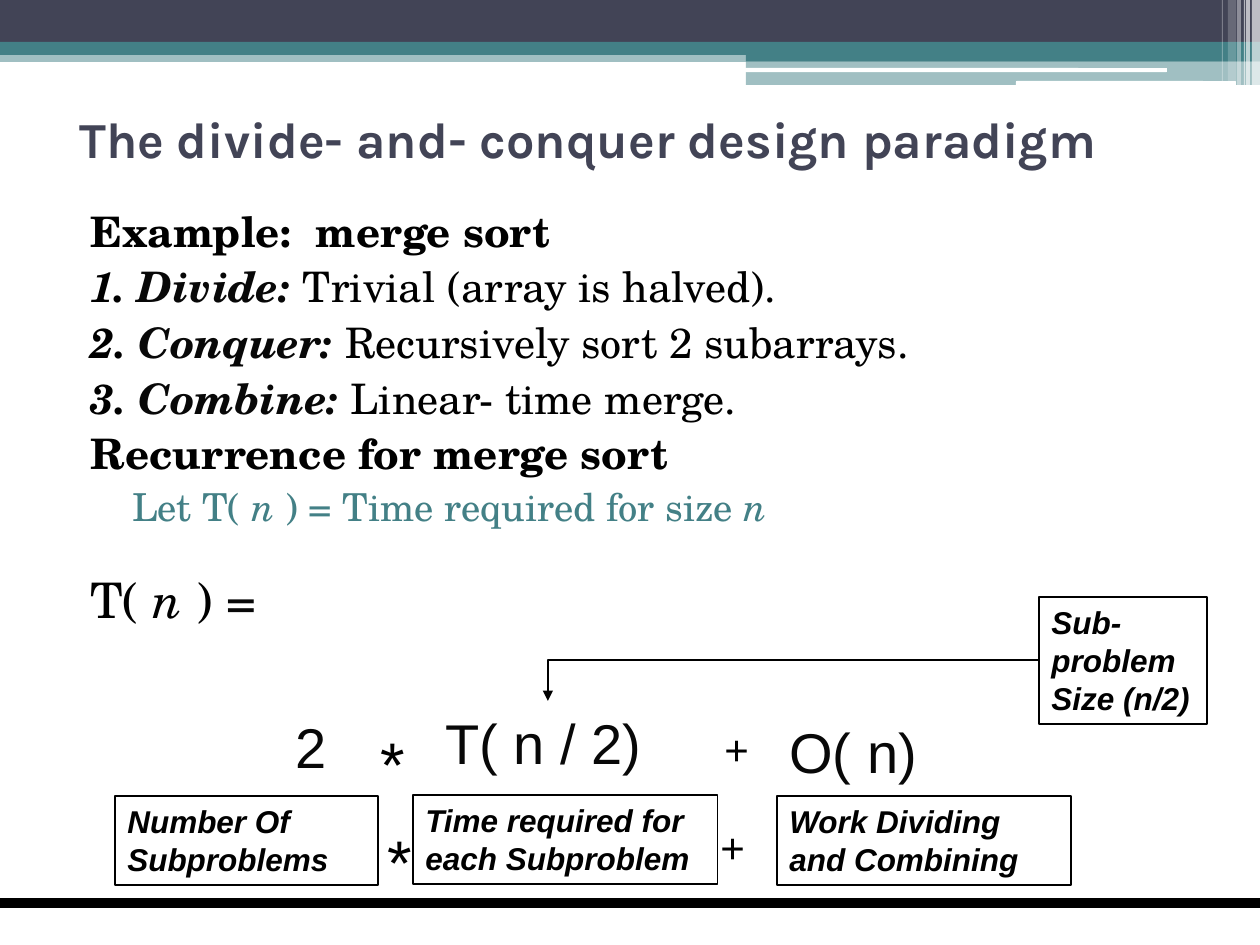
"""Builds the merge sort slide of a divide-and-conquer lesson."""
from dataclasses import dataclass

from lxml import etree
from pptx import Presentation, util as u
from pptx.dml.color import RGBColor
from pptx.enum import shapes, text
from pptx.oxml.ns import qn

PX = 914400 // 126


@dataclass(frozen=True)
class Theme:
    """Colours, fonts and type sizes."""
    navy: str = "424456"
    teal: str = "438086"
    white: str = "FFFFFF"
    black: str = "000000"
    ink: str = "080808"
    head: str = "Karla"
    serif: str = "TeX Gyre Schola"
    sans: str = "Arial"
    title: float = 28.8
    body: int = 24
    sub: int = 22
    big: int = 28
    term: int = 32
    star: int = 36
    note: int = 18


T = Theme()


def px(*vals):
    """Turn pixels into EMU."""
    return [u.Emu(v * PX) for v in vals]


def rgb(hue):
    """Make a colour from its hex digits."""
    return RGBColor.from_string(hue)


def bar(slide, box, hue, alpha=100, round=False):
    """Draw a plain filled bar."""
    kind = shapes.MSO_SHAPE.ROUNDED_RECTANGLE if round else shapes.MSO_SHAPE.RECTANGLE
    shape = slide.shapes.add_shape(kind, *px(*box))
    shape.shadow.inherit = False
    shape.fill.solid()
    shape.fill.fore_color.rgb = rgb(hue)
    shape.line.fill.background()
    if alpha < 100:
        tint = shape._element.spPr.find(".//" + qn("a:srgbClr"))
        etree.SubElement(tint, qn("a:alpha"), val=str(alpha * 1000))


def fill(frame, paras, font=T.sans, size=T.body, hue=T.black, bold=False,
         ital=False, anchor=text.MSO_ANCHOR.TOP, grow=False):
    """Write paragraphs, each a list of (words, changes) runs and a layout."""
    frame.word_wrap = True
    frame.vertical_anchor = anchor
    frame.auto_size = (text.MSO_AUTO_SIZE.SHAPE_TO_FIT_TEXT if grow
                       else text.MSO_AUTO_SIZE.NONE)
    for num, (runs, lay) in enumerate(paras):
        para = frame.add_paragraph() if num else frame.paragraphs[0]
        para.alignment = text.PP_ALIGN.LEFT
        para.space_before = u.Pt(lay.get("gap", 0))
        if "indent" in lay:
            left, hang = px(*lay["indent"])
            props = para._p.get_or_add_pPr()
            props.set("marL", str(left))
            props.set("indent", str(hang))
        for words, diff in runs:
            look = dict(size=size, hue=hue, bold=bold, ital=ital) | diff
            run = para.add_run()
            run.text = words
            run.font.name = font
            run.font.size = u.Pt(look["size"])
            run.font.bold = look["bold"]
            run.font.italic = look["ital"]
            run.font.color.rgb = rgb(look["hue"])


def label(slide, box, words, **form):
    """Add a text box with one run."""
    area = slide.shapes.add_textbox(*px(*box))
    fill(area.text_frame, [([(words, {})], {})], **form)


def note(slide, box, *lines):
    """Add a framed note in bold italics."""
    shape = slide.shapes.add_shape(shapes.MSO_SHAPE.RECTANGLE, *px(*box))
    shape.shadow.inherit = False
    shape.fill.background()
    shape.line.color.rgb = rgb(T.black)
    shape.line.width = u.Pt(0.75)
    fill(shape.text_frame, [([(line, {})], {}) for line in lines],
         size=T.note, bold=True, ital=True, grow=True)


def link(slide, ends, width, bent=False):
    """Draw a black line, or a bent arrow with one corner."""
    kind = shapes.MSO_CONNECTOR.ELBOW if bent else shapes.MSO_CONNECTOR.STRAIGHT
    line = slide.shapes.add_connector(kind, *px(*ends))
    line.line.color.rgb = rgb(T.black)
    line.line.width = u.Pt(width)
    props = line._element.spPr
    if bent:
        props.find(qn("a:prstGeom")).set("prst", "bentConnector2")
        etree.SubElement(props.find(qn("a:ln")), qn("a:tailEnd"), type="triangle")
    etree.SubElement(props, qn("a:effectLst"))


def frame(slide):
    """Draw the header bands, stripes and base line."""
    for box, hue, alpha in (
            ((0, 50, 1260, 12), T.teal, 50), ((0, 0, 1260, 42), T.navy, 100),
            ((0, 42, 1260, 13), T.teal, 100), ((746, 49, 514, 12), T.teal, 100),
            ((746, 61, 514, 24), T.teal, 50)):
        bar(slide, box, hue, alpha)
    for box in ((745, 68, 422, 4), (1016, 81, 220, 5)):
        bar(slide, box, T.white, round=True)
    for left, wide, high, alpha in (
            (1252, 8, 85, 65), (1246, 4, 85, 65), (1244, 1, 85, 60),
            (1237, 4, 85, 40), (1228, 8, 81, 20), (1222, 1, 81, 30)):
        bar(slide, (left, 0, wide, high), T.white, alpha)
    link(slide, (0, 903, 1260, 903), 6)


def body(slide):
    """Write the example and its recurrence."""
    main = dict(gap=3, indent=(50, -35))
    bold, ital = dict(bold=True), dict(ital=True)
    both = bold | ital
    steps = (("Divide: ", "Trivial (array is halved)."),
             ("Conquer: ", "Recursively sort 2 subarrays."),
             ("Combine: ", "Linear- time merge."))
    paras = [([("Example:  merge sort", bold)], main)]
    paras += [([(f"{num}. ", both), (name, both | dict(hue=T.ink)), (rest, {})], main)
              for num, (name, rest) in enumerate(steps, 1)]
    paras.append(([("Recurrence for merge sort", bold)], main))
    sub = dict(size=T.sub, hue=T.teal)
    paras.append(([("Let T( ", sub), ("n", sub | ital),
                   (" ) = Time required for size ", sub), ("n", sub | ital)],
                  dict(gap=3, indent=(91, -34))))
    big = dict(size=T.big)
    paras.append(([("T( ", big), ("n", big | ital), (" ) ", big),
                   ("=", big | dict(hue=T.ink))], main | dict(gap=23)))
    area = slide.shapes.add_textbox(*px(63, 199, 1155, 693))
    fill(area.text_frame, paras, font=T.serif)


def sums(slide):
    """Set out the recurrence and the meaning of its terms."""
    for left, top in ((375, 816), (368, 718)):
        label(slide, (left, top, 73, 88), "*", size=T.star, grow=True)
    for left, top in ((708, 815), (712, 717)):
        label(slide, (left, top, 73, 63), "+", grow=True)
    for box, words in (((283, 706, 73, 79), "2"),
                       ((433, 702, 228, 79), "T( n / 2)"),
                       ((777, 711, 158, 79), "O( n)")):
        label(slide, box, words, size=T.term, hue=T.ink, grow=True)
    note(slide, (115, 796, 263, 89), "Number Of Subproblems")
    note(slide, (413, 795, 305, 89), "Time required for each Subproblem")
    note(slide, (777, 796, 294, 89), "Work Dividing and Combining")
    note(slide, (1039, 597, 168, 127), "Sub-problem", "Size (n/2)")
    link(slide, (1039, 660, 548, 701), 0.75, bent=True)


def main():
    """Build and save the slide."""
    deck = Presentation()
    deck.slide_width, deck.slide_height = u.Inches(10), u.Inches(7.5)
    slide = deck.slides.add_slide(deck.slide_layouts[6])
    frame(slide)
    label(slide, (67, 84, 1109, 108), "The divide- and- conquer design paradigm",
          font=T.head, size=T.title, hue=T.navy, bold=True,
          anchor=text.MSO_ANCHOR.MIDDLE)
    body(slide)
    sums(slide)
    deck.save("out.pptx")


main()
